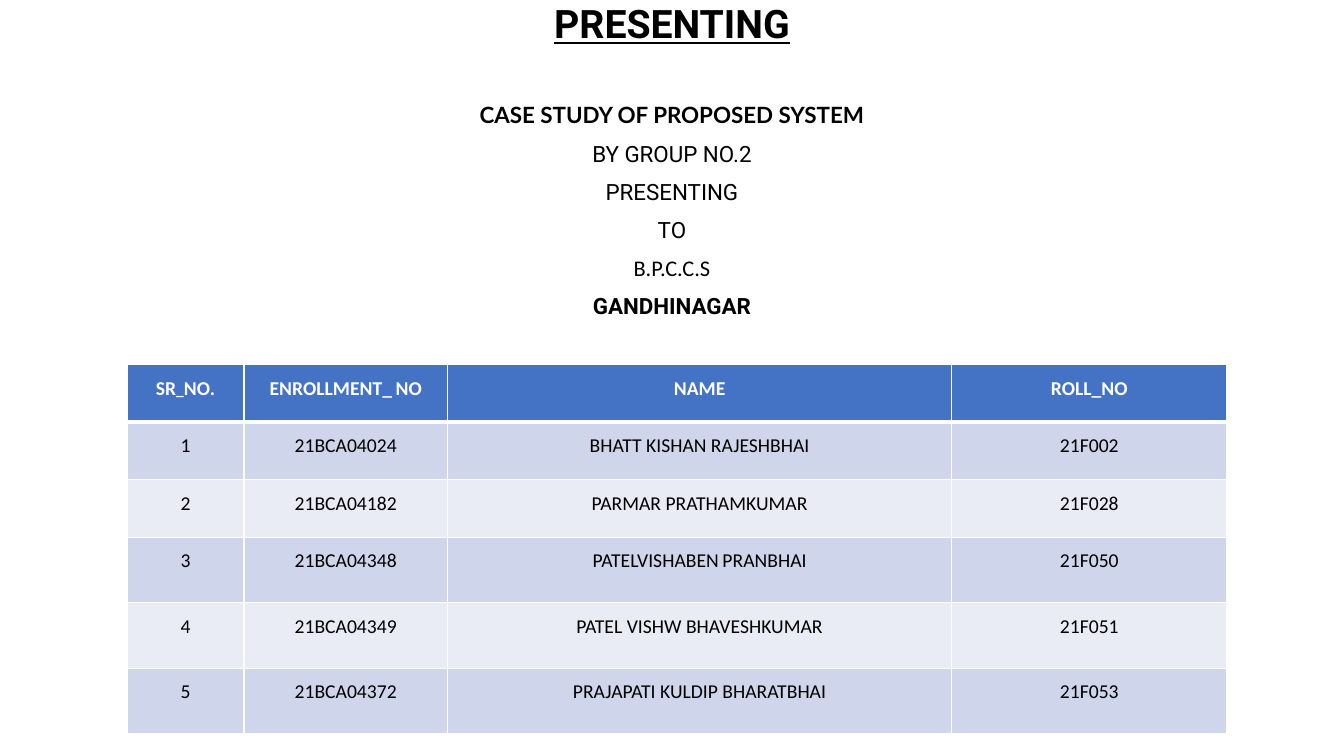
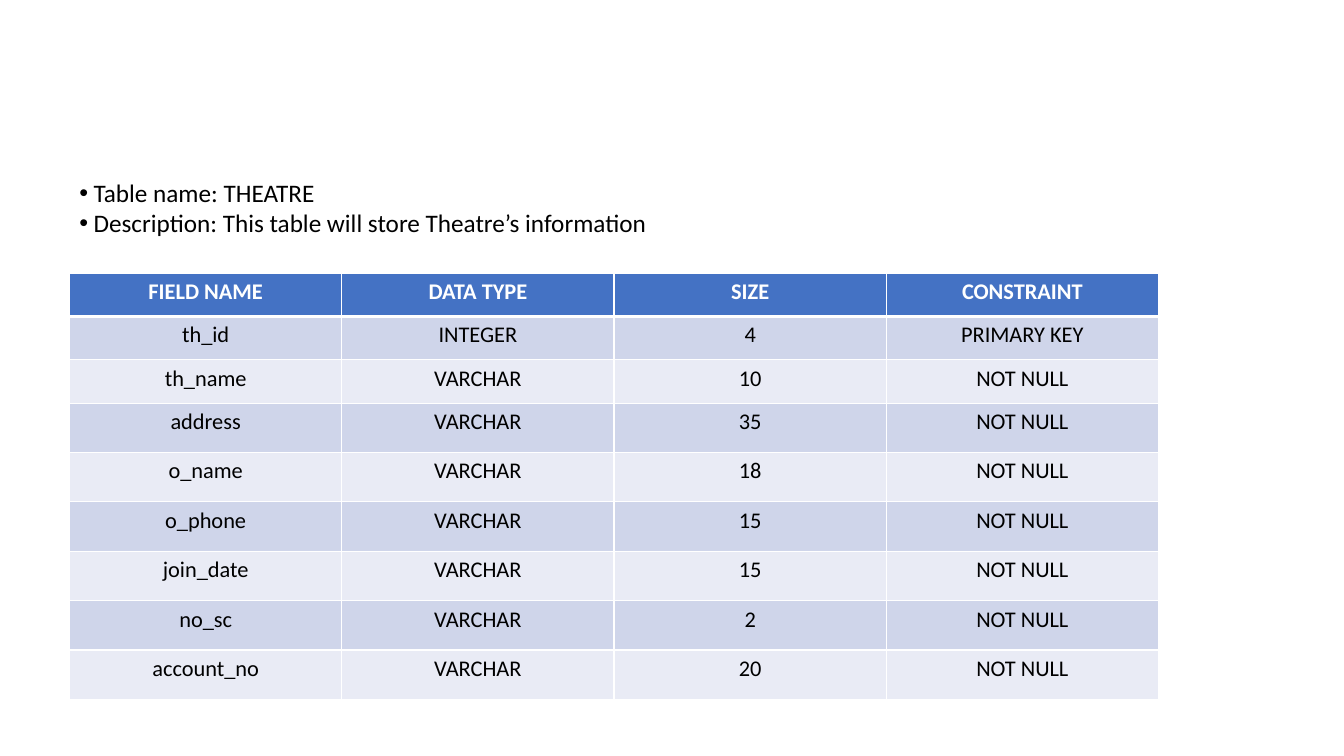
import pptx
import pptx.dml.color
import pptx.enum.text
import pptx.oxml.ns
import pptx.util
from lxml import etree

Inches, Pt = pptx.util.Inches, pptx.util.Pt
CENTER = pptx.enum.text.PP_ALIGN.CENTER

# Shared look
WHITE, BLACK, HEADER_BLUE = "FFFFFF", "000000", "4472C4"
BANDS = ("CFD5EA", "E9EBF5")
BODY_FONT = "Calibri"
THIN, THICK = 1, 3

# Slide contents
COVER_LINES = [
    # text, font, size, bold, underline, space before
    ("PRESENTING", "Roboto", 28, True, True, 0),
    ("CASE STUDY OF PROPOSED SYSTEM", "Lato", 16, True, False, 41),
    ("BY GROUP NO.2", "Roboto", 16, False, False, 10),
    ("PRESENTING", "Roboto", 16, False, False, 10),
    ("TO", "Roboto", 16, False, False, 10),
    ("B.P.C.C.S", BODY_FONT, 16, False, False, 10),
    ("GANDHINAGAR", "Roboto", 16, True, False, 10),
]

# A tuple holds pieces of one cell; every second piece is set smaller
MEMBERS = [
    [("SR", "_", "NO."), ("ENROLLMENT_", " ", "NO"), "NAME", "ROLL_NO"],
    ["1", "21BCA04024", "BHATT KISHAN RAJESHBHAI", "21F002"],
    ["2", "21BCA04182", "PARMAR PRATHAMKUMAR", "21F028"],
    ["3", "21BCA04348", ("PATELVISHABEN", " ", "PRANBHAI"), "21F050"],
    ["4", "21BCA04349", "PATEL VISHW BHAVESHKUMAR", "21F051"],
    ["5", "21BCA04372", "PRAJAPATI KULDIP BHARATBHAI", "21F053"],
]

THEATRE_FIELDS = [
    ["FIELD NAME", "DATA TYPE", "SIZE", "CONSTRAINT"],
    ["th_id", "INTEGER", "4", "PRIMARY KEY"],
    ["th_name", "VARCHAR", "10", "NOT NULL"],
    ["address", "VARCHAR", "35", "NOT NULL"],
    ["o_name", "VARCHAR", "18", "NOT NULL"],
    ["o_phone", "VARCHAR", "15", "NOT NULL"],
    ["join_date", "VARCHAR", "15", "NOT NULL"],
    ["no_sc", "VARCHAR", "2", "NOT NULL"],
    ["account_no", "VARCHAR", "20", "NOT NULL"],
]

THEATRE_NOTES = [
    "Table name: THEATRE",
    "Description: This table will store Theatre’s information",
]


def rgb(color):
    return pptx.dml.color.RGBColor.from_string(color)


def set_format(target, values):
    for name, value in values.items():
        setattr(target, name, value)


def add_span(para, text, font, size, color=BLACK, bold=False, underline=False):
    span = para.add_run()
    span.text = text
    set_format(span.font, {"name": font, "size": Pt(size),
                           "bold": bold, "underline": underline})
    span.font.color.rgb = rgb(color)


def add_element(parent, tag, **attributes):
    return etree.SubElement(parent, pptx.oxml.ns.qn(tag), attributes)


def add_page(deck):
    page = deck.slides.add_slide(deck.slide_layouts[6])
    page.background.fill.solid()
    page.background.fill.fore_color.rgb = rgb(WHITE)
    return page


def add_text_box(page, left, top, width, height):
    box = page.shapes.add_textbox(Inches(left), Inches(top),
                                  Inches(width), Inches(height))
    box.text_frame.word_wrap = True
    return box.text_frame


def next_para(frame, index):
    return frame.add_paragraph() if index else frame.paragraphs[0]


# Centred lines of the cover
def add_cover_text(page, lines):
    frame = add_text_box(page, 0, 0, 13.33, 7.5)
    for index, (text, font, size, bold, underline, gap) in enumerate(lines):
        para = next_para(frame, index)
        set_format(para, {"alignment": CENTER, "line_spacing": 0.9,
                          "space_before": Pt(gap)})
        add_span(para, text, font, size, bold=bold, underline=underline)


# Bulleted lines
def add_bullets(page, left, top, width, height, lines):
    frame = add_text_box(page, left, top, width, height)
    for index, text in enumerate(lines):
        para = next_para(frame, index)
        properties = para._p.get_or_add_pPr()
        properties.set("marL", str(Inches(0.14)))
        properties.set("indent", str(-Inches(0.14)))
        add_element(properties, "a:buFont", typeface="Arial")
        add_element(properties, "a:buChar", char="•")
        add_span(para, text, BODY_FONT, 18)


# Tables with a blue header and two alternating bands
def set_borders(cell, row_index):
    widths = {"a:lnL": THIN, "a:lnR": THIN,
              "a:lnT": THICK if row_index == 1 else THIN,
              "a:lnB": THICK if row_index == 0 else THIN}
    properties = cell._tc.get_or_add_tcPr()
    for position, (tag, width) in enumerate(widths.items()):
        line = add_element(properties, tag, w=str(Pt(width)))
        add_element(add_element(line, "a:solidFill"), "a:srgbClr", val=WHITE)
        properties.insert(position, line)


def fill_cell(cell, content, row_index, size, cell_format, para_format):
    header = row_index == 0
    set_format(cell, cell_format)
    cell.fill.solid()
    cell.fill.fore_color.rgb = rgb(
        HEADER_BLUE if header else BANDS[(row_index - 1) % 2])
    set_borders(cell, row_index)
    para = cell.text_frame.paragraphs[0]
    set_format(para, {"alignment": CENTER, **para_format})
    pieces = (content,) if isinstance(content, str) else content
    for index, piece in enumerate(pieces):
        add_span(para, piece, BODY_FONT, 11 if index % 2 else size,
                 WHITE if header else BLACK, bold=header)


def add_data_table(page, left, top, widths, heights, rows, size,
                   cell_format={}, para_format={}):
    table = page.shapes.add_table(
        len(rows), len(widths), Inches(left), Inches(top),
        Inches(sum(widths)), Inches(sum(heights))).table
    for column, width in zip(table.columns, widths):
        column.width = Inches(width)
    for row, height in zip(table.rows, heights):
        row.height = Inches(height)
    for row_index, row in enumerate(rows):
        for column_index, content in enumerate(row):
            fill_cell(table.cell(row_index, column_index), content,
                      row_index, size, cell_format, para_format)


def main():
    deck = pptx.Presentation()
    set_format(deck, {"slide_width": Inches(13.33),
                      "slide_height": Inches(7.5)})

    # Cover with group members
    page = add_page(deck)
    add_cover_text(page, COVER_LINES)
    add_data_table(
        page, 1.26, 3.62, [1.16, 2.02, 5, 2.73], [0.57] * 3 + [0.65] * 3,
        MEMBERS, 14,
        cell_format={"margin_left": Inches(0.07), "margin_right": Inches(0.07),
                     "margin_top": 0, "margin_bottom": 0},
        para_format={"line_spacing": 1.5, "space_after": Pt(8)})

    # Theatre table definition
    page = add_page(deck)
    add_data_table(page, 0.69, 2.71, [2.7] * 4, [0.43] * 3 + [0.49] * 6,
                   THEATRE_FIELDS, 16)
    add_bullets(page, 0.69, 1.71, 5.97, 0.71, THEATRE_NOTES)

    deck.save("out.pptx")


if __name__ == "__main__":
    main()
